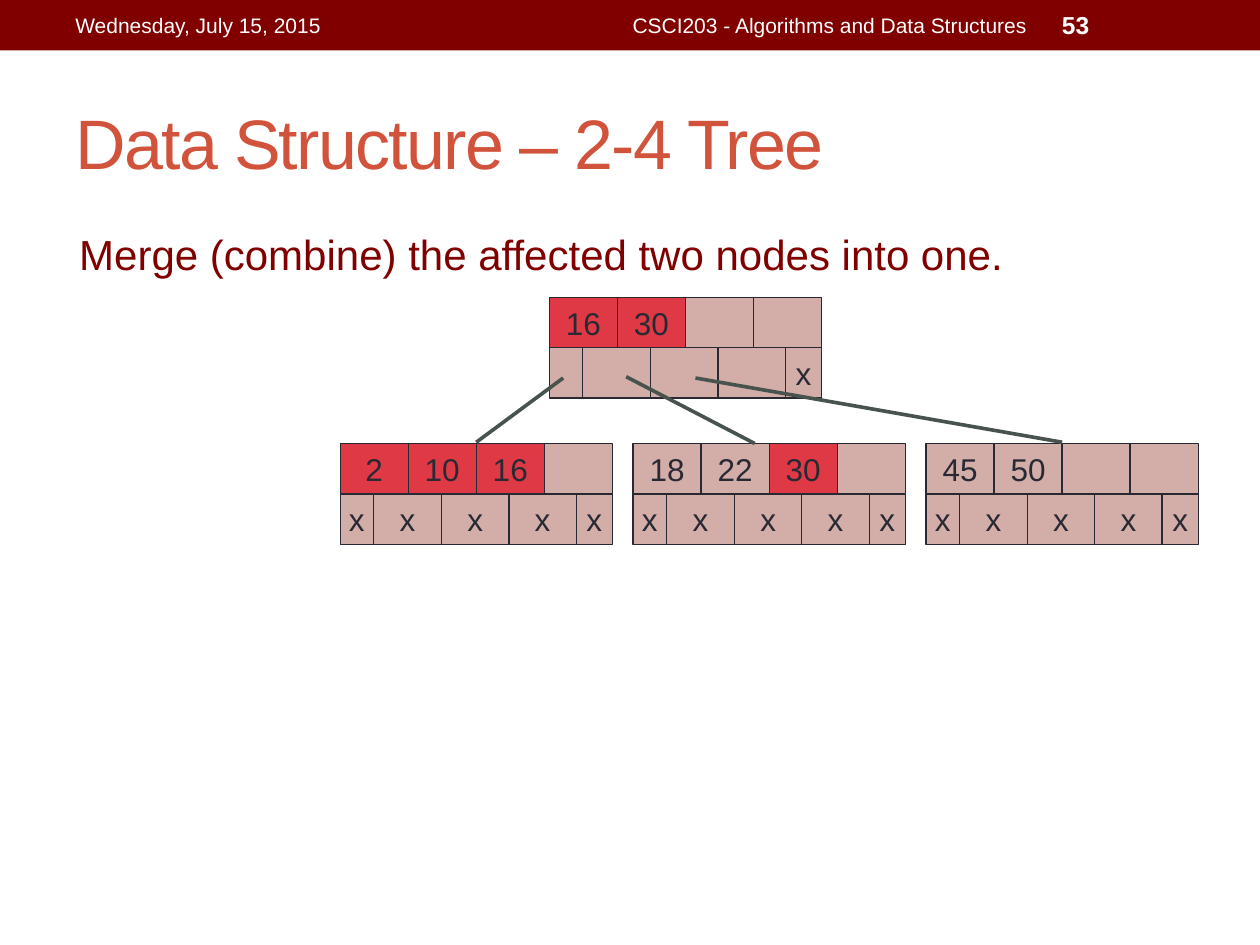
from dataclasses import dataclass

import pptx
import pptx.dml.color
import pptx.enum.shapes
import pptx.enum.text
import pptx.oxml
import pptx.oxml.ns
import pptx.util

Inches = pptx.util.Inches
Align = pptx.enum.text.PP_ALIGN
Anchor = pptx.enum.text.MSO_ANCHOR

MAROON, RUST, WHITE = "800000", "D2533C", "FFFFFF"
PALE, RED, INK, LINK = "D3AEA8", "DE3945", "292934", "47534C"
COLUMN, ROW = 0.54, 0.4  # one key cell of the tree, in inches
KEYS_PER_NODE = 4
# Pointer cells in columns: half cells at both ends, whole cells between
POINTER_EDGES = [0, 0.49, 1.49, 2.48, 3.47, 4]


@dataclass
class Node:
    left: float
    top: float
    keys: list[str]
    marked: list[str]
    pointers: list[str]


@dataclass
class Label:
    text: str
    left: float
    top: float
    width: float
    height: float
    size: float
    color: str = WHITE
    align: Align = Align.LEFT
    bold: bool = False


@dataclass
class Link:
    start: tuple[float, float]
    end: tuple[float, float]


ROOT = Node(4.36, 2.36, ["16", "30"], ["16", "30"], [""] * 4 + ["x"])
LEAF_KEYS = [
    (["2", "10", "16"], ["2", "10", "16"]),
    (["18", "22", "30"], ["30"]),
    (["45", "50"], []),
]
LEAVES = [
    Node(2.7 + 2.325 * index, 3.52, keys, marked, ["x"] * 5)
    for index, (keys, marked) in enumerate(LEAF_KEYS)
]
LINKS = [
    Link((4.47, 3), (3.78, 3.51)),
    Link((4.97, 2.99), (5.99, 3.52)),
    Link((5.52, 3), (8.43, 3.51)),
]
LABELS = [
    Label("Wednesday, July 15, 2015", 0.5, 0.02, 3.17, 0.36, 12),
    Label("CSCI203 - Algorithms and Data Structures", 3.75, 0.02, 4.5, 0.36, 12, align=Align.RIGHT),
    Label("53", 8.33, 0.02, 1.17, 0.36, 14, bold=True),
    Label("Merge (combine) the affected two nodes into one.", 0.53, 1.76, 8.89, 0.5, 24, MAROON),
]


def rgb(color: str) -> pptx.dml.color.RGBColor:
    return pptx.dml.color.RGBColor.from_string(color)


def apply(target, values: dict) -> None:
    for name, value in values.items():
        setattr(target, name, value)


def write(box, text: str, size: float, color: str, align: Align, bold=False, **frame_format):
    """Put one line of formatted text in a shape and return its run."""
    frame = box.text_frame
    apply(frame, {"word_wrap": True, "vertical_anchor": Anchor.MIDDLE,
                  "auto_size": pptx.enum.text.MSO_AUTO_SIZE.NONE} | frame_format)
    para = frame.paragraphs[0]
    para.alignment = align
    span = para.add_run()
    span.text = text
    apply(span.font, {"name": "Arial", "size": pptx.util.Pt(size), "bold": bold})
    span.font.color.rgb = rgb(color)
    return span


def draw_rectangle(page, left: float, top: float, width: float, height: float, fill: str):
    box = page.shapes.add_shape(
        pptx.enum.shapes.MSO_SHAPE.RECTANGLE, *map(Inches, (left, top, width, height)))
    box.shadow.inherit = False
    box.fill.solid()
    box.fill.fore_color.rgb = rgb(fill)
    box.line.fill.background()
    return box


def draw_cell(page, left: float, top: float, width: float, text: str, fill: str) -> None:
    box = draw_rectangle(page, left, top, width, ROW, fill)
    box.line.color.rgb = rgb(INK)
    box.line.width = pptx.util.Pt(0.75)
    if text:
        write(box, text, 18, INK, Align.CENTER, word_wrap=False, margin_left=0, margin_right=0)


def draw_node(page, node: Node) -> None:
    # Upper row: keys, padded with empty cells
    keys = node.keys + [""] * (KEYS_PER_NODE - len(node.keys))
    for index, key in enumerate(keys):
        fill = RED if key in node.marked else PALE
        draw_cell(page, node.left + index * COLUMN, node.top, COLUMN, key, fill)
    # Lower row: pointers
    for start, end, pointer in zip(POINTER_EDGES, POINTER_EDGES[1:], node.pointers):
        draw_cell(page, node.left + start * COLUMN, node.top + ROW,
                  (end - start) * COLUMN, pointer, PALE)


def draw_link(page, link: Link) -> None:
    line = page.shapes.add_connector(
        pptx.enum.shapes.MSO_CONNECTOR.STRAIGHT, *map(Inches, link.start + link.end))
    line.line.color.rgb = rgb(LINK)
    line.line.width = pptx.util.Pt(2.08)
    properties = line._element.spPr
    properties.append(properties.makeelement(pptx.oxml.ns.qn("a:effectLst"), {}))


def draw_label(page, label: Label) -> None:
    box = page.shapes.add_textbox(
        *map(Inches, (label.left, label.top, label.width, label.height)))
    write(box, label.text, label.size, label.color, label.align, label.bold)


def main() -> None:
    deck = pptx.Presentation()
    apply(deck, {"slide_width": Inches(10), "slide_height": Inches(7.5)})
    page = deck.slides.add_slide(deck.slide_layouts[5])

    # Title, with slightly tightened letters
    title = page.shapes.title
    apply(title, {"left": Inches(0.5), "top": Inches(0.58),
                  "width": Inches(9), "height": Inches(1.08)})
    span = write(title, "Data Structure – 2-4 Tree", 40, RUST, Align.LEFT)
    span.font._element.set("spc", "-100")

    # Header band and text lines
    draw_rectangle(page, 0, 0, 10, 0.4, MAROON)
    for label in LABELS:
        draw_label(page, label)

    # Tree
    for node in [ROOT, *LEAVES]:
        draw_node(page, node)
    for link in LINKS:
        draw_link(page, link)

    deck.save("out.pptx")


if __name__ == "__main__":
    main()
